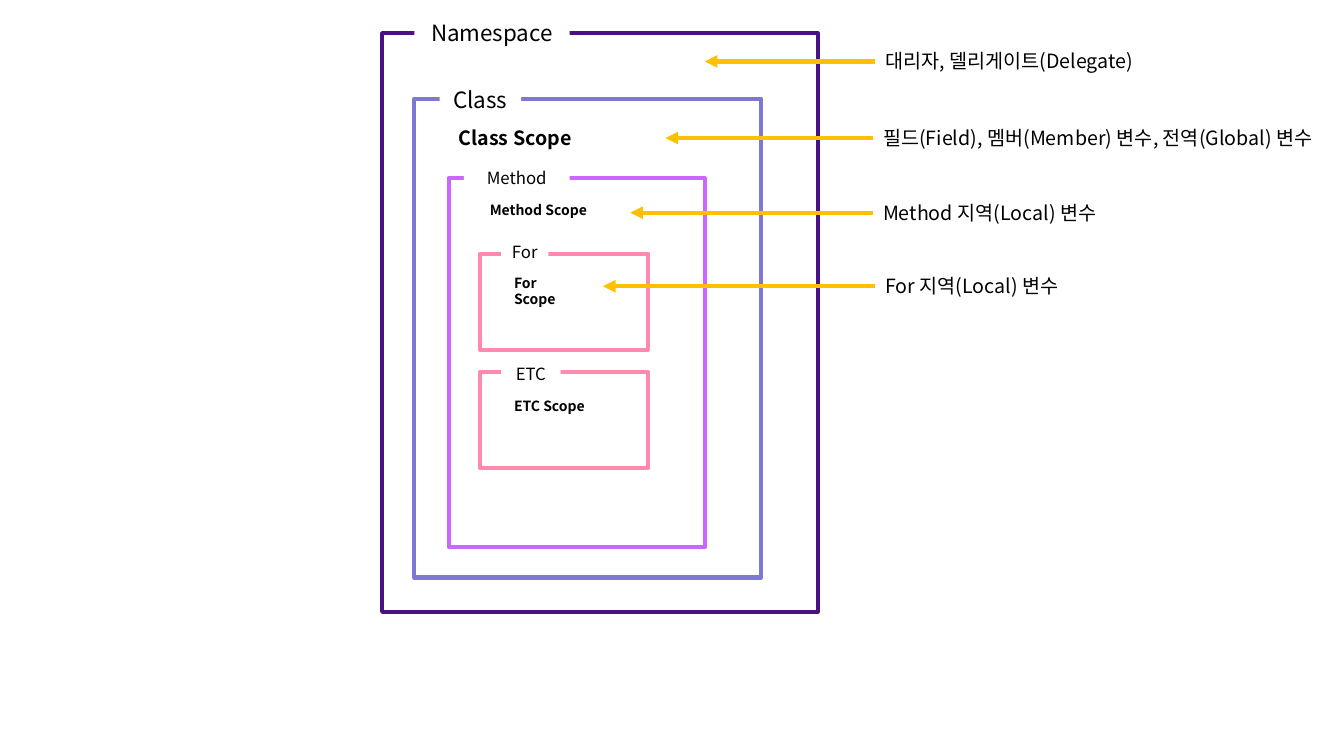
"""Draw nested C# variable scopes with labelled arrows."""
from lxml.etree import SubElement
from pptx import Presentation
from pptx.dml.color import RGBColor
from pptx.enum.shapes import MSO_CONNECTOR as Connector, MSO_SHAPE as Shape
from pptx.enum.text import MSO_ANCHOR as Anchor, PP_ALIGN as Align
from pptx.oxml.ns import qn
from pptx.util import Emu, Pt

PX = 9144
FONT = "Noto Sans CJK KR"
COLORS = {
    "white": "FFFFFF", "text": "000000", "arrow": "FFC000",
    "namespace": "481380", "class": "7F78D2", "method": "CC66FF", "block": "FF8AAE",
}
FRAMES = [
    ("namespace", (379, 33, 432, 574)),
    ("class", (411, 98, 344, 475)),
    ("method", (445, 177, 254, 366)),
    ("block", (476, 252, 167, 95)),
    ("block", (476, 369, 167, 95)),
]
TITLES = [
    ("Namespace", (411, 14, 154, 37), 16),
    ("Class", (436, 80, 81, 37), 16),
    ("Method", (460, 158, 105, 37), 12),
    ("For", (497, 231, 47, 37), 12),
    ("ETC", (497, 352, 59, 37), 12),
]
SCOPES = [
    ("Class Scope", (445, 120, 152, 34), 14),
    ("Method Scope", (476, 195, 122, 27), 10),
    ("For Scope", (500, 267, 86, 27), 10),
    ("ETC Scope", (500, 389, 98, 27), 10),
]
NOTES = [
    ("대리자, 델리게이트(Delegate)", (868, 44, 311, 34), 699),
    ("필드(Field), 멤버(Member) 변수, 전역(Global) 변수", (866, 120, 474, 34), 660),
    ("Method 지역(Local) 변수", (866, 194, 254, 34), 625),
    ("For 지역(Local) 변수", (868, 267, 254, 34), 598),
]


def px(*lengths):
    return [Emu(length * PX) for length in lengths]


def color(name):
    return RGBColor.from_string(COLORS[name])


def write(box, text, size=14, bold=False, align=Align.LEFT, anchor=Anchor.TOP):
    frame = box.text_frame
    frame.word_wrap = True
    frame.vertical_anchor = anchor
    para = frame.paragraphs[0]
    para.alignment = align
    span = para.add_run()
    span.text = text
    span.font.size = Pt(size)
    span.font.bold = bold
    span.font.color.rgb = color("text")
    span.font.name = FONT
    SubElement(span.font._element, qn("a:ea"), typeface=FONT)


class ScopeSlide:
    def __init__(self, page, line_width=3):
        self.page = page
        self.line_width = Pt(line_width)

    def panel(self, area):
        box = self.page.shapes.add_shape(Shape.RECTANGLE, *px(*area))
        box.shadow.inherit = False
        box.fill.solid()
        box.fill.fore_color.rgb = color("white")
        box.line.fill.background()
        return box

    def frame(self, name, area):
        box = self.panel(area)
        box.line.color.rgb = color(name)
        box.line.width = self.line_width

    def title(self, text, area, size):
        box = self.panel(area)
        box.text_frame.margin_left = box.text_frame.margin_right = 0
        write(box, text, size=size, align=Align.CENTER, anchor=Anchor.MIDDLE)

    def label(self, text, area, **style):
        box = self.page.shapes.add_textbox(*px(*area))
        write(box, text, **style)
        return box

    def arrow(self, box, tip):
        middle = box.top + box.height // 2
        line = self.page.shapes.add_connector(
            Connector.STRAIGHT, box.left, middle, Emu(tip * PX), middle)
        line.begin_connect(box, 1)
        line.line.color.rgb = color("arrow")
        line.line.width = self.line_width
        SubElement(line.line._get_or_add_ln(), qn("a:tailEnd"), type="triangle")
        SubElement(line._element.spPr, qn("a:effectLst"))


def main():
    deck = Presentation()
    deck.slide_width, deck.slide_height = px(1333, 750)
    slide = ScopeSlide(deck.slides.add_slide(deck.slide_layouts[6]))
    for name, area in FRAMES:
        slide.frame(name, area)
    for text, area, size in TITLES:
        slide.title(text, area, size)
    for text, area, size in SCOPES:
        slide.label(text, area, size=size, bold=True)
    for text, area, tip in NOTES:
        slide.arrow(slide.label(text, area), tip)
    deck.save("out.pptx")


if __name__ == "__main__":
    main()
